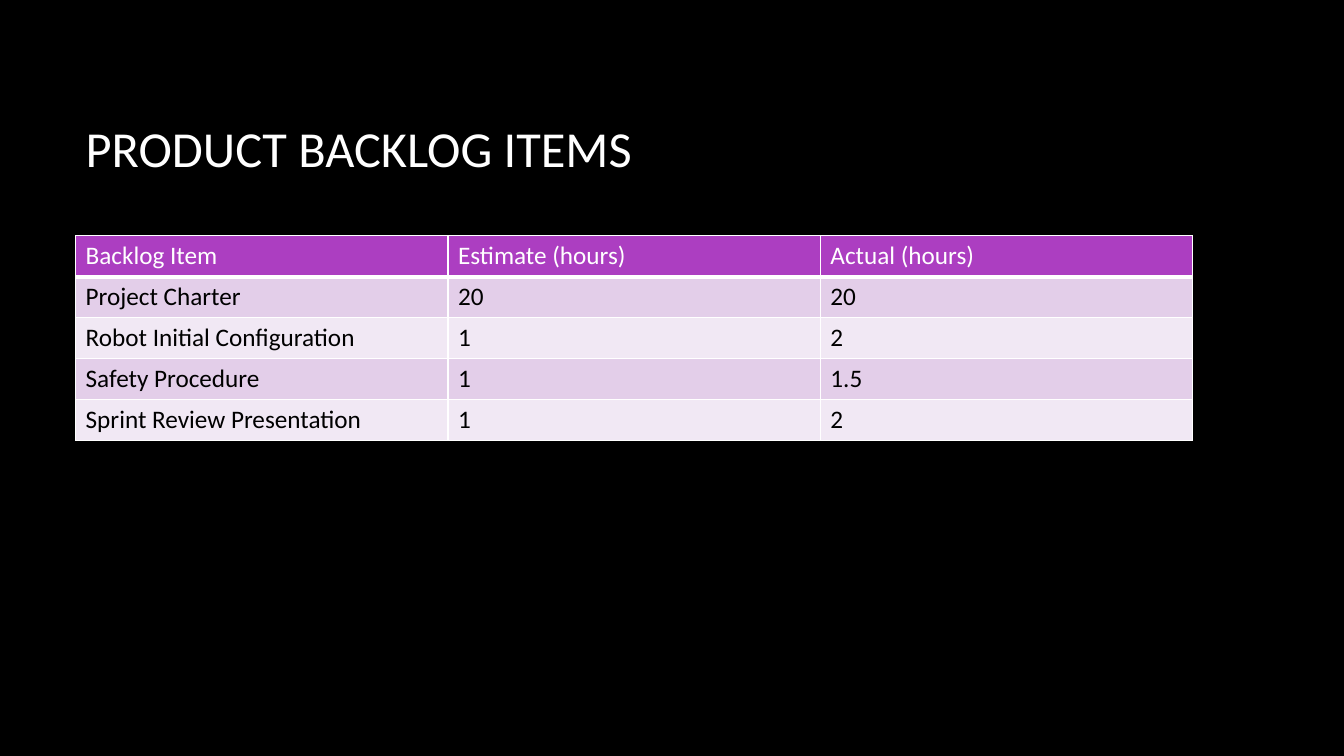
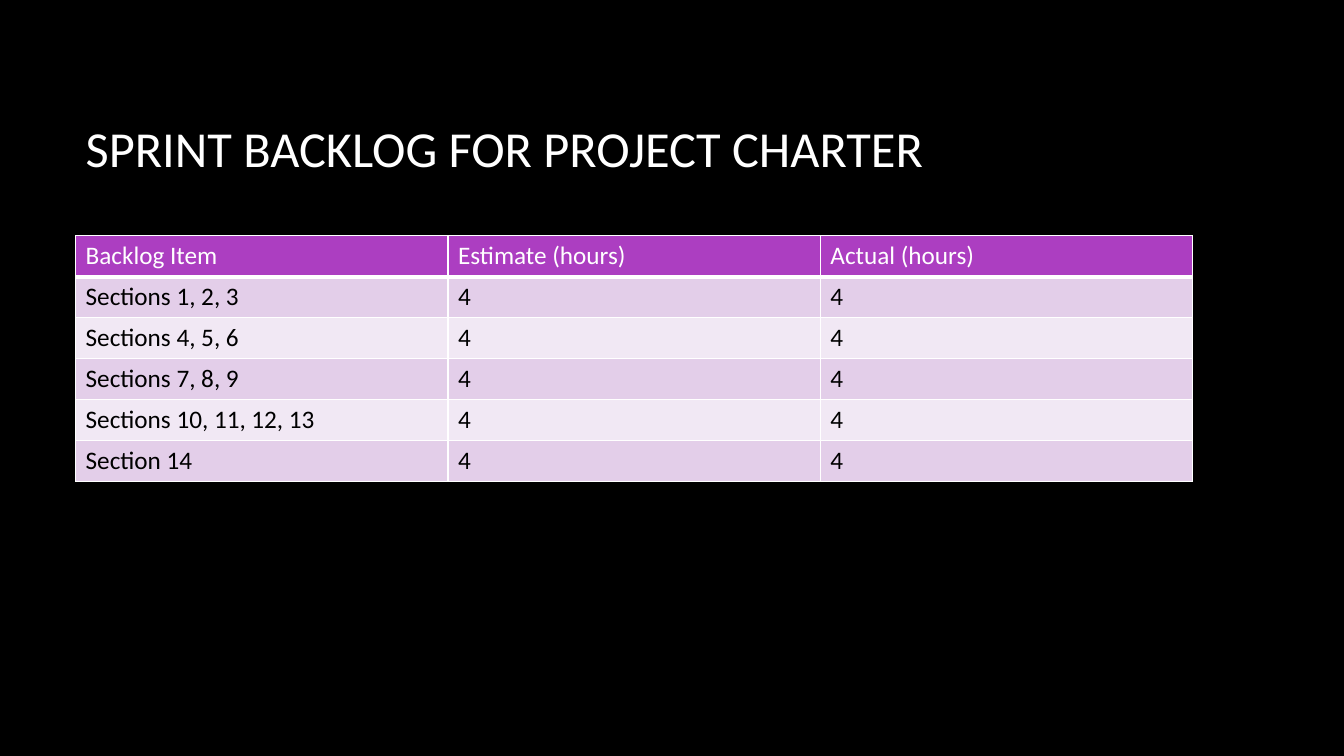
from pptx import Presentation
from pptx.dml.color import RGBColor
from pptx.enum.text import MSO_ANCHOR as Anchor, MSO_AUTO_SIZE as AutoSize, PP_ALIGN as Align
from pptx.oxml.ns import qn
from pptx.util import Inches, Pt
from lxml.etree import SubElement

BLACK, WHITE = "000000", "FFFFFF"
HEADER_FILL = "AC3EC1"
BAND_FILLS = ("E3CEE9", "F1E8F4")
FONT = "Calibri"
LEFT, WIDTH = Inches(0.75), Inches(11.08)
ROW_HEIGHT = Inches(2.43) // 6
HEADINGS = ("Backlog Item", "Estimate (hours)", "Actual (hours)")


def color(value):
    return RGBColor.from_string(value)


def paint(fill, value):
    fill.solid()
    fill.fore_color.rgb = color(value)


class BacklogDeck:
    """Holds the shared style and the current slide."""

    def __init__(self):
        self.deck = Presentation()
        self.deck.slide_width, self.deck.slide_height = Inches(13.33), Inches(7.5)
        paint(self.deck.slide_master.background.fill, BLACK)
        self.slide = None

    def add_slide(self, title):
        title_only = self.deck.slide_layouts[5]
        self.slide = self.deck.slides.add_slide(title_only)
        self.add_title(title)

    def style_text(self, para, size, value):
        for span in para.runs:
            font = span.font
            font.name, font.size, font.bold = FONT, Pt(size), False
            font.color.rgb = color(value)

    def add_title(self, text):
        box = self.slide.shapes.title
        box.left, box.top, box.width, box.height = LEFT, Inches(0.67), WIDTH, Inches(1.59)
        frame = box.text_frame
        frame.text = text
        frame.auto_size = AutoSize.NONE
        frame.vertical_anchor = Anchor.MIDDLE
        para = frame.paragraphs[0]
        para.alignment = Align.LEFT
        self.style_text(para, 36, WHITE)

    def add_border(self, cell, side, points):
        properties = cell._tc.get_or_add_tcPr()
        line = SubElement(properties, qn(f"a:ln{side}"), w=str(Pt(points)))
        fill = SubElement(line, qn("a:solidFill"))
        SubElement(fill, qn("a:srgbClr"), val=WHITE)

    def add_table(self, items):
        rows = [HEADINGS, *items]
        frame = self.slide.shapes.add_table(
            len(rows), len(HEADINGS), LEFT, Inches(2.34), WIDTH, ROW_HEIGHT * len(rows))
        table = frame.table
        for row_index, values in enumerate(rows):
            table.rows[row_index].height = ROW_HEIGHT
            is_header = row_index == 0
            for column_index, value in enumerate(values):
                cell = table.cell(row_index, column_index)
                cell.text = value
                self.style_text(cell.text_frame.paragraphs[0], 18, WHITE if is_header else BLACK)
                # Borders come before the fill; the header has a heavy rule below
                for side in ("LRTB" if is_header else "LRB"):
                    self.add_border(cell, side, 3 if is_header and side == "B" else 1)
                paint(cell.fill, HEADER_FILL if is_header else BAND_FILLS[(row_index - 1) % 2])

    def save(self):
        self.deck.save("out.pptx")


def main():
    backlog = BacklogDeck()

    # Product backlog
    backlog.add_slide("PRODUCT BACKLOG ITEMS")
    backlog.add_table([
        ("Project Charter", "20", "20"),
        ("Robot Initial Configuration", "1", "2"),
        ("Safety Procedure", "1", "1.5"),
        ("Sprint Review Presentation", "1", "2"),
    ])

    # Sprint backlog: every item was planned and done in four hours
    backlog.add_slide("SPRINT BACKLOG FOR PROJECT CHARTER")
    sections = ("Sections 1, 2, 3", "Sections 4, 5, 6", "Sections 7, 8, 9",
                "Sections 10, 11, 12, 13", "Section 14")
    backlog.add_table([(section, "4", "4") for section in sections])

    backlog.save()


if __name__ == "__main__":
    main()
